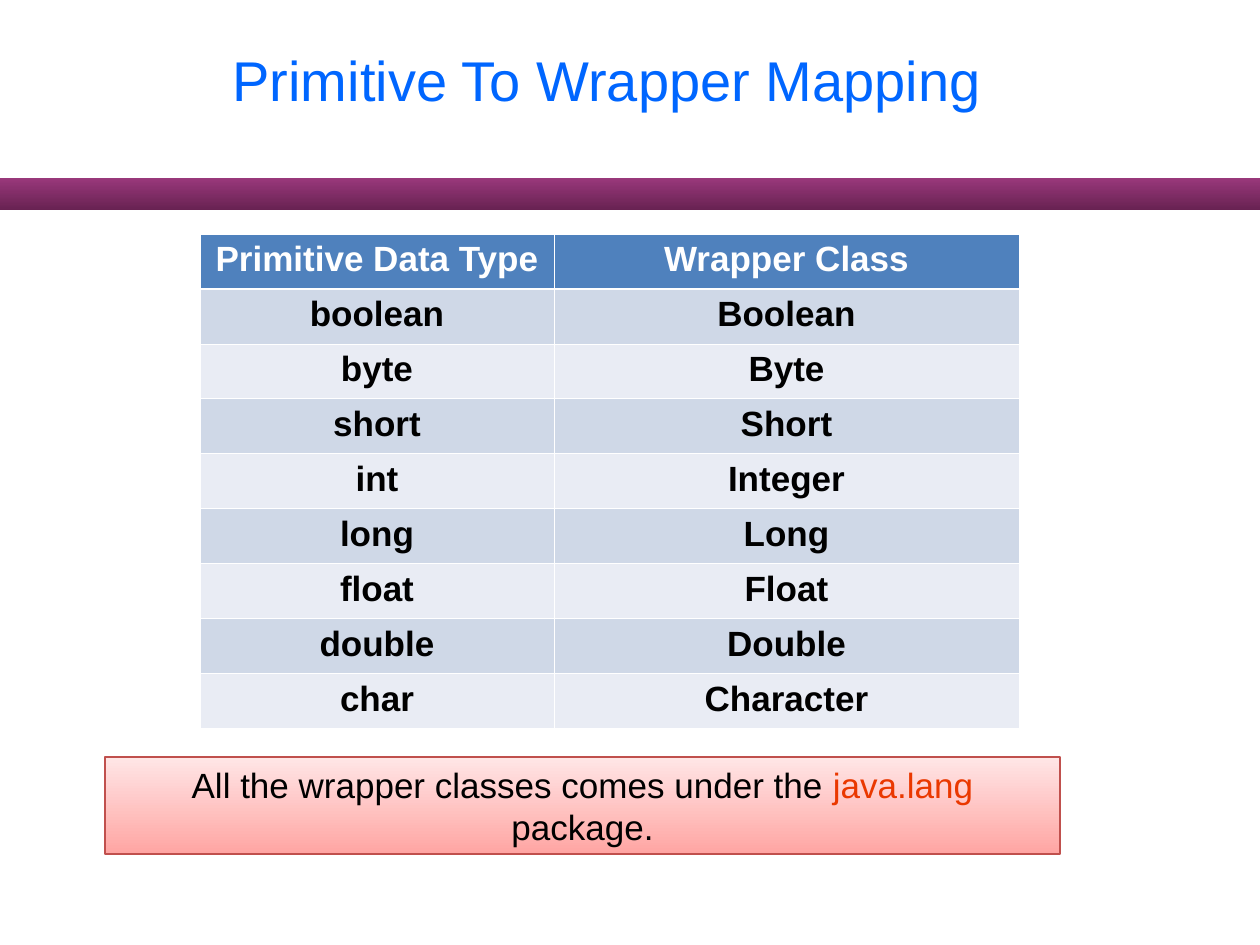
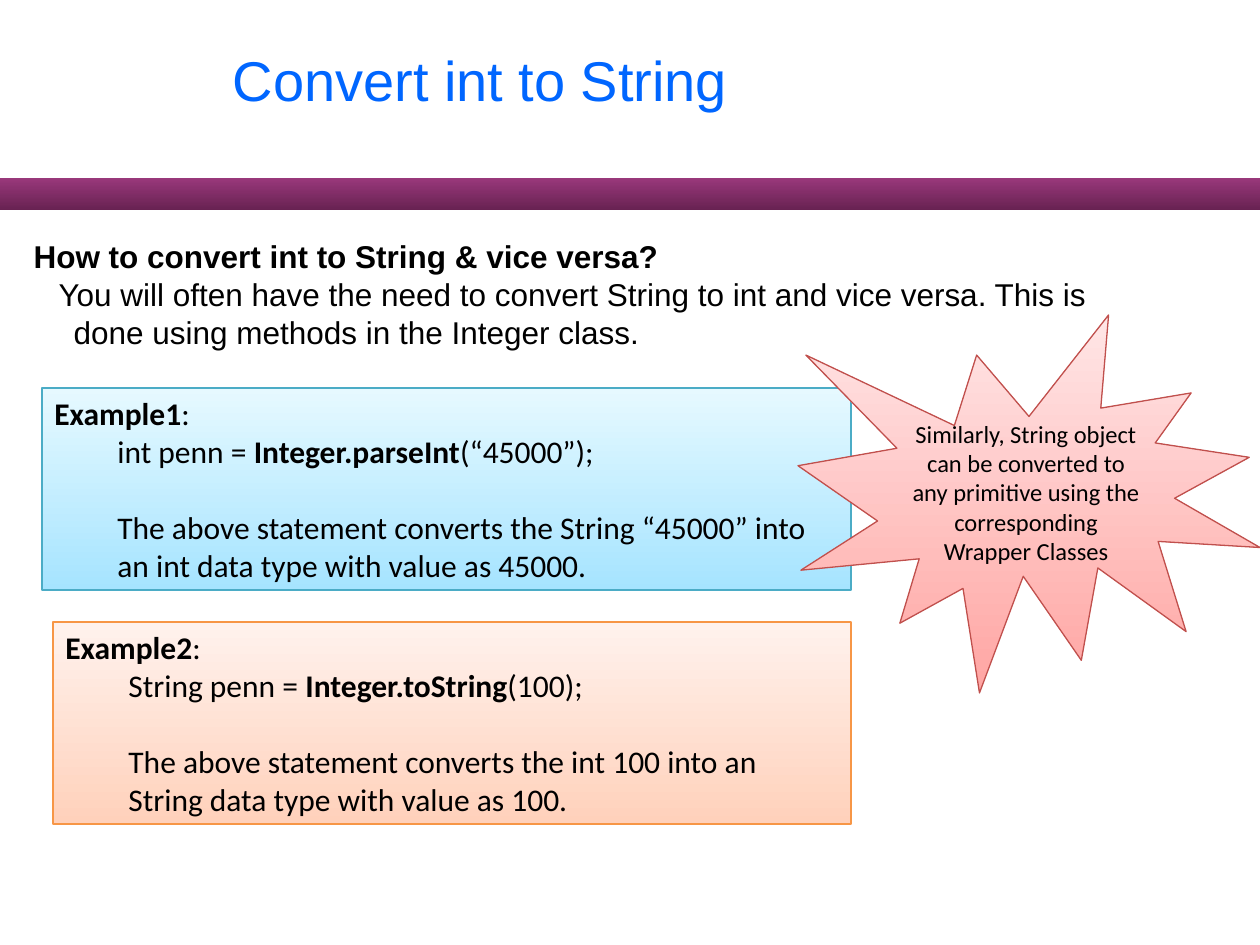
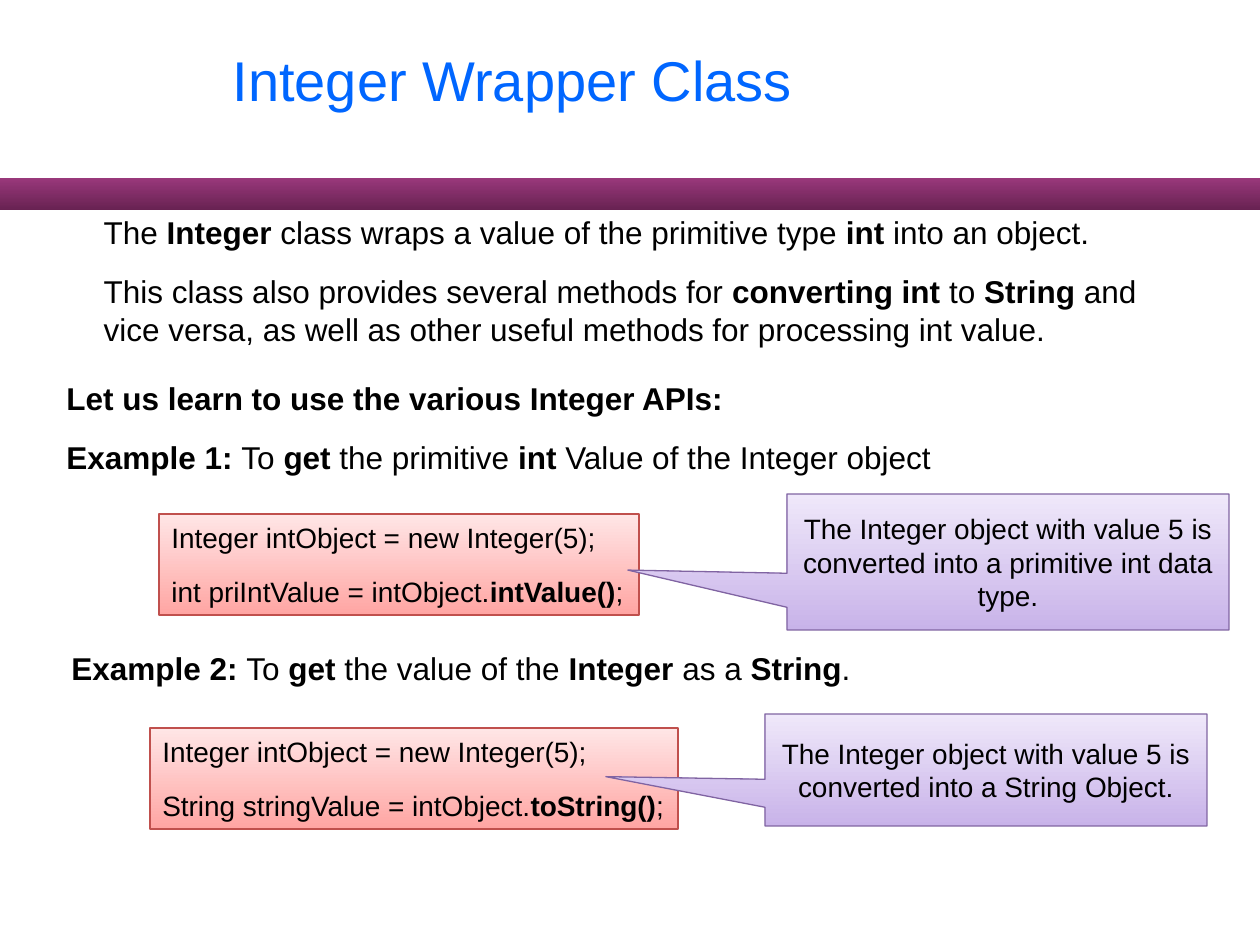
from dataclasses import dataclass

from lxml.etree import SubElement
from pptx import Presentation
from pptx.dml.color import RGBColor
from pptx.enum.shapes import MSO_SHAPE
from pptx.enum.text import MSO_ANCHOR, MSO_AUTO_SIZE, PP_ALIGN
from pptx.oxml.ns import qn
from pptx.util import Emu, Pt

PX_PER_INCH = 126
WIDTH, HEIGHT = 1260, 945


@dataclass(frozen=True)
class Theme:
    # Type
    sans: str = "Arial"
    humanist: str = "Calibri"
    title_size: int = 32
    large: int = 20
    body: int = 18
    code: int = 16
    note: int = 14
    # Plain colours
    title: str = "0066FF"
    text: str = "000000"
    accent: str = "EA3800"
    white: str = "FFFFFF"
    table_head: str = "4F81BD"
    table_rows: tuple = ("CFD8E7", "E9ECF4")
    # Panels: bottom colour, top colour, outline
    band: tuple = ("682252", "99387B", None)
    red: tuple = ("FFA5A3", "FFE6E6", "C0504D")
    blue: tuple = ("A6E4FF", "E6F9FF", "4BACC6")
    orange: tuple = ("FFD1BB", "FFF2ED", "F79646")
    violet: tuple = ("C8B3E9", "EFE8FA", "8064A2")


THEME = Theme()


@dataclass(frozen=True)
class Box:
    left: int
    top: int
    width: int
    height: int

    def inner(self, left, top, width, height):
        return Box(self.left + left, self.top + top, width, height)

    def emu(self):
        return [px(n) for n in (self.left, self.top, self.width, self.height)]


def px(length):
    return Emu(round(length * 914400 / PX_PER_INCH))


def rgb(colour):
    return RGBColor.from_string(colour)


# ---------- Text ----------

def write(frame, lines, size, font=THEME.sans, align=PP_ALIGN.LEFT,
          before=0, colour=THEME.text, accent=None):
    """Fill a frame; parts between ** are bold, or in the accent colour."""
    frame.text = "\n".join(lines)
    for paragraph, line in zip(frame.paragraphs, lines):
        paragraph.text = ""
        paragraph.alignment = align
        paragraph.space_before = Pt(before)
        for index, part in enumerate(line.split("**")):
            if not part:
                continue
            run = paragraph.add_run()
            run.text = part
            stressed = index % 2 == 1
            run.font.name, run.font.size = font, Pt(size)
            run.font.bold = stressed and accent is None
            run.font.color.rgb = rgb(accent if stressed and accent else colour)


def indent(paragraph, margin, first=0):
    properties = paragraph._p.get_or_add_pPr()
    properties.set("marL", str(px(margin)))
    properties.set("indent", str(px(first)))


def place(shape, box):
    shape.left, shape.top, shape.width, shape.height = box.emu()


def fill_body(slide, box, lines, margins, before=0):
    body = slide.placeholders[1]
    place(body, box)
    write(body.text_frame, lines, THEME.body, before=before)
    body.text_frame.auto_size = MSO_AUTO_SIZE.NONE
    for paragraph, (margin, first) in zip(body.text_frame.paragraphs, margins):
        indent(paragraph, margin, first)
        SubElement(paragraph._p.get_or_add_pPr(), qn("a:buNone"))


def add_label(slide, box, lines):
    label = slide.shapes.add_textbox(*box.emu())
    label.text_frame.word_wrap = True
    write(label.text_frame, lines, THEME.body, before=12)


# ---------- Shared parts ----------

def add_panel(slide, box, colours, kind=MSO_SHAPE.RECTANGLE, anchor=MSO_ANCHOR.TOP):
    bottom, top, outline = colours
    panel = slide.shapes.add_shape(kind, *box.emu())
    panel.shadow.inherit = False
    panel.fill.gradient()
    panel.fill.gradient_angle = 90
    for stop, colour in zip(panel.fill.gradient_stops, (bottom, top)):
        stop.color.rgb = rgb(colour)
    if outline:
        panel.line.color.rgb = rgb(outline)
        panel.line.width = Pt(0.75)
    else:
        panel.line.fill.background()
    panel.text_frame.word_wrap = True
    panel.text_frame.vertical_anchor = anchor
    return panel


def add_master_band(deck, slide):
    """Build the band on a slide, then hand it to the master for all slides."""
    band = add_panel(slide, Box(0, 178, WIDTH, 32), THEME.band)
    band.element.nvSpPr.cNvPr.set("id", "20")
    deck.slide_master.shapes.element.append(band.element)


def add_slide(deck, layout, heading):
    slide = deck.slides.add_slide(deck.slide_layouts.get_by_name(layout))
    title = slide.shapes.title
    place(title, Box(220, 0, 1040, 158))
    write(title.text_frame, [heading], THEME.title_size, colour=THEME.title)
    title.text_frame.vertical_anchor = MSO_ANCHOR.MIDDLE
    return slide


# ---------- Regions ----------

def set_border(cell, edge, width):
    line = SubElement(cell._tc.get_or_add_tcPr(), qn(f"a:{edge}"), w=str(Pt(width)))
    colour = SubElement(SubElement(line, qn("a:solidFill")), qn("a:srgbClr"))
    colour.set("val", THEME.white)


def add_mapping_table(slide, box, rows, first_column):
    table = slide.shapes.add_table(len(rows), 2, *box.emu()).table
    for column, width in zip(table.columns, (first_column, box.width - first_column)):
        column.width = px(width)
    for r, row in enumerate(rows):
        table.rows[r].height = px(box.height // len(rows))
        fill = THEME.table_rows[(r - 1) % 2] if r else THEME.table_head
        for c, name in enumerate(row):
            cell = table.cell(r, c)
            for edge in ("lnL", "lnR", "lnT", "lnB"):
                under_head = (r, edge) in ((0, "lnB"), (1, "lnT"))
                set_border(cell, edge, 1.5 if under_head else 0.5)
            cell.fill.solid()
            cell.fill.fore_color.rgb = rgb(fill)
            write(cell.text_frame, [f"**{name}**"], THEME.large,
                  align=PP_ALIGN.CENTER,
                  accent=THEME.text if r else THEME.white)
            for run in cell.text_frame.paragraphs[0].runs:
                run.font.bold = True


def add_conversion(slide, box, colours, heading, statement, meaning):
    frame = add_panel(slide, box, colours).text_frame
    write(frame, [f"**{heading}**:", statement, meaning], THEME.body, THEME.humanist)
    for paragraph in frame.paragraphs[1:]:
        indent(paragraph, 63)
    frame.paragraphs[2].space_before = Pt(22)


def add_burst(slide, box, remark):
    burst = add_panel(slide, box, THEME.red, MSO_SHAPE.EXPLOSION1, MSO_ANCHOR.MIDDLE)
    write(burst.text_frame, [remark], THEME.note, THEME.humanist, PP_ALIGN.CENTER)


def add_code_example(slide, box, code_top, code_width, code, remark):
    """Code at the left of the box, callout filling its right end."""
    snippet = add_panel(slide, box.inner(0, code_top, code_width, 101), THEME.red)
    snippet.text_frame.word_wrap = False
    write(snippet.text_frame, code, THEME.code, before=12)
    callout_width = 442
    callout = add_panel(
        slide, box.inner(box.width - callout_width, 0, callout_width, box.height),
        THEME.violet, MSO_SHAPE.RECTANGULAR_CALLOUT, MSO_ANCHOR.MIDDLE)
    callout.adjustments[0], callout.adjustments[1] = -0.86, 0.06
    write(callout.text_frame, [remark], THEME.code, align=PP_ALIGN.CENTER)


# ---------- Slides ----------

def build_mapping(deck):
    slide = add_slide(deck, "Title Only", "Primitive To Wrapper Mapping")
    add_master_band(deck, slide)
    add_mapping_table(slide, Box(200, 234, 819, 495), [
        ("Primitive Data Type", "Wrapper Class"),
        ("boolean", "Boolean"),
        ("byte", "Byte"),
        ("short", "Short"),
        ("int", "Integer"),
        ("long", "Long"),
        ("float", "Float"),
        ("double", "Double"),
        ("char", "Character"),
    ], first_column=354)
    package_note = add_panel(slide, Box(105, 757, 955, 97), THEME.red)
    write(package_note.text_frame,
          ["All the wrapper classes comes under the **java.lang** package."],
          THEME.large, align=PP_ALIGN.CENTER, accent=THEME.accent)


def build_conversion(deck):
    slide = add_slide(deck, "Title and Content", "Convert int to String")
    fill_body(slide, Box(21, 231, 1155, 164), [
        "**How to convert int to String & vice versa?**",
        "You will often have the need to convert String to int and vice versa. "
        "This is done using methods in the Integer class.",
    ], margins=[(0, 0), (40, -15)])
    add_conversion(slide, Box(42, 388, 809, 202), THEME.blue, "Example1",
                   "int penn = **Integer.parseInt**(“45000”);",
                   "The above statement converts the String “45000” into "
                   "an int data type with value as 45000.")
    add_conversion(slide, Box(53, 622, 798, 202), THEME.orange, "Example2",
                   "String penn = **Integer.toString**(100);",
                   "The above statement converts the int 100 into an "
                   "String data type with value as 100.")
    add_burst(slide, Box(798, 315, 462, 378),
              "Similarly, String object can be converted to any primitive "
              "using the corresponding Wrapper Classes")


def build_integer_class(deck):
    slide = add_slide(deck, "Title and Content", "Integer Wrapper Class")
    fill_body(slide, Box(42, 207, 1166, 150), [
        "The **Integer** class wraps a value of the primitive type **int** into an object.",
        "This class also provides several methods for **converting int** to **String** "
        "and vice versa, as well as other useful methods for processing int value.",
    ], margins=[(49, 0)] * 2, before=12)
    add_label(slide, Box(54, 373, 900, 110), [
        "**Let us learn to use the various Integer APIs:**",
        "**Example 1: **To **get** the primitive **int** Value of the Integer object",
    ])
    add_code_example(slide, Box(159, 494, 1070, 136), 20, 480, [
        "Integer intObject = new Integer(5);",
        "int priIntValue = intObject.**intValue()**;",
    ], "The Integer object with value 5 is converted into a primitive int data type.")
    add_label(slide, Box(59, 643, 1081, 50), [
        "**Example 2: **To **get** the value of the **Integer** as a **String**.",
    ])
    add_code_example(slide, Box(150, 714, 1057, 112), 14, 528, [
        "Integer intObject = new Integer(5);",
        "String stringValue = intObject.**toString()**;",
    ], "The Integer object with value 5 is converted into a String Object.")


def main():
    deck = Presentation()
    deck.slide_width, deck.slide_height = px(WIDTH), px(HEIGHT)
    build_mapping(deck)
    build_conversion(deck)
    build_integer_class(deck)
    deck.save("out.pptx")


if __name__ == "__main__":
    main()
